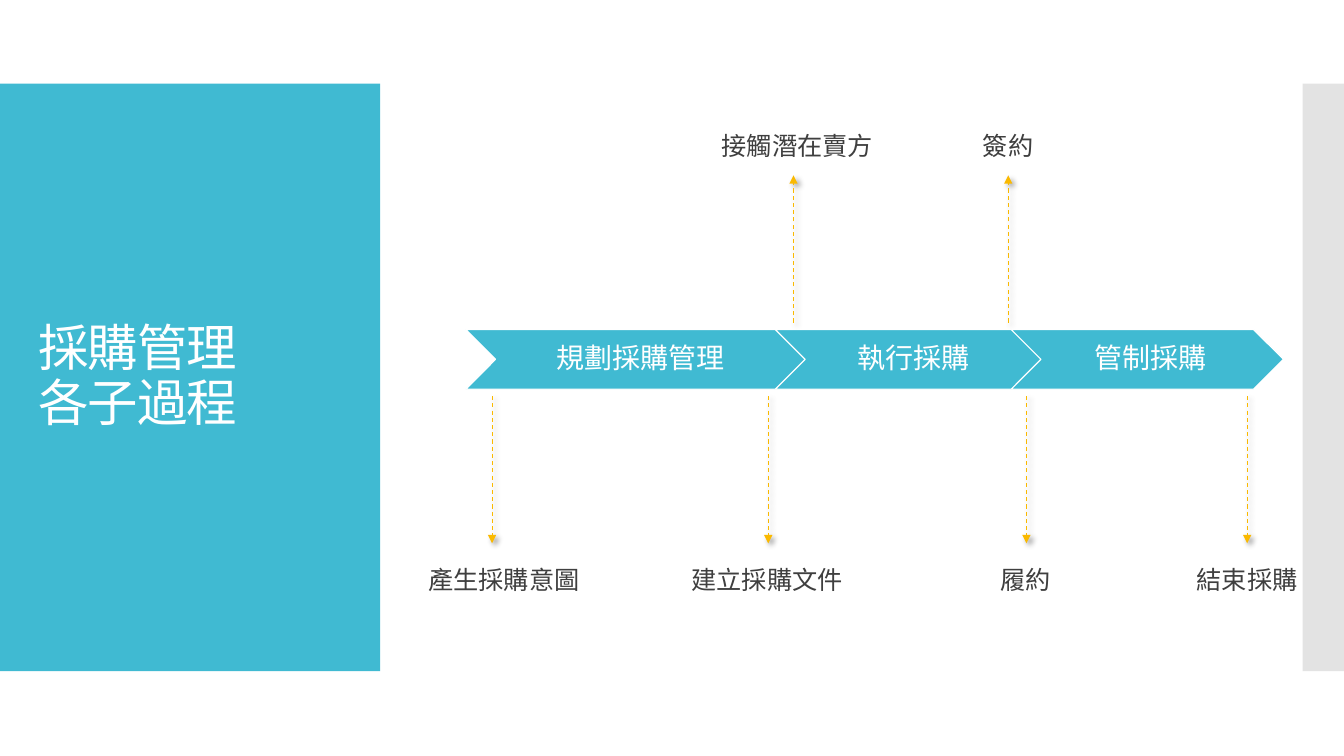
from lxml import etree
from pptx import Presentation
from pptx.dml.color import RGBColor
from pptx.enum.dml import MSO_LINE
from pptx.enum.shapes import MSO_CONNECTOR, MSO_SHAPE
from pptx.enum.text import MSO_ANCHOR, MSO_AUTO_SIZE, PP_ALIGN
from pptx.oxml import parse_xml
from pptx.oxml.ns import nsdecls, qn
from pptx.util import Inches, Pt

RECTANGLE, CHEVRON = MSO_SHAPE.RECTANGLE, MSO_SHAPE.CHEVRON
STRAIGHT, DASH = MSO_CONNECTOR.STRAIGHT, MSO_LINE.DASH
MIDDLE, TOP = MSO_ANCHOR.MIDDLE, MSO_ANCHOR.TOP
LEFT, CENTER = PP_ALIGN.LEFT, PP_ALIGN.CENTER
NO_FIT, GROW = MSO_AUTO_SIZE.NONE, MSO_AUTO_SIZE.SHAPE_TO_FIT_TEXT

FONT = "Calibri"
COLORS = {"teal": "40BAD2", "grey": "C8C8C8", "amber": "FAB900",
          "white": "FFFFFF", "text": "3F3F3F", "shadow": "000000"}
TITLE_PANEL = (0, 0.83, 3.77, 5.83)
SIDE_PANEL = (12.92, 0.83, 0.42, 5.83)
PROCESS_BAND = (4.62, 3.27, 8.11, 0.59)
STEPS = [("規劃採購管理", 3.41), ("執行採購", 2.68), ("管制採購", 2.7)]
ARROW_GAP, ARROW_LENGTH, LABEL_HEIGHT = 0.07, 1.46, 0.4
LABEL_GAPS = {"above": 0.1, "below": 0.16}
CALLOUTS = [
    ("產生採購意圖", "below", 4.88, 4.15, 1.72),
    ("建立採購文件", "below", 7.62, 6.76, 1.72),
    ("接觸潛在賣方", "above", 7.87, 7.06, 1.72),
    ("簽約", "above", 10, 9.65, 0.71),
    ("履約", "below", 10.18, 9.82, 0.71),
    ("結束採購", "below", 12.37, 11.77, 1.21),
]


def rgb(name):
    """Return a palette colour."""
    return RGBColor.from_string(COLORS[name])


def set_values(target, values):
    """Set each named attribute of the target."""
    for name, value in values.items():
        setattr(target, name, value)


def write_text(shape, text, size, color, frame, paragraph_format):
    """Write one formatted paragraph into a shape."""
    set_values(shape.text_frame, frame)
    paragraph = shape.text_frame.paragraphs[0]
    paragraph.text = text
    set_values(paragraph, paragraph_format)
    for run in paragraph.runs:
        set_values(run.font, {"name": FONT, "size": Pt(size)})
        run.font.color.rgb = rgb(color)
    return paragraph


def add_block(slide, kind, box, color):
    """Add a filled preset shape without outline or shadow."""
    shape = slide.shapes.add_shape(kind, *map(Inches, box))
    shape.shadow.inherit = False
    shape.fill.solid()
    shape.fill.fore_color.rgb = rgb(color)
    shape.line.fill.background()
    return shape


def add_title_panel(slide, box):
    """Draw the title panel and set the title inside it."""
    left, top, width, height = box
    add_block(slide, RECTANGLE, box, "teal")
    title = slide.shapes.title
    title_element = title._element
    title_element.getparent().append(title_element)
    set_values(title, {"left": Inches(left + 0.28), "top": Inches(top + 0.4),
                       "width": Inches(width - 0.55), "height": Inches(height - 0.8)})
    paragraph = write_text(
        title, "採購管理\v各子過程", 36, "white",
        {"vertical_anchor": MIDDLE, "word_wrap": True, "auto_size": NO_FIT},
        {"alignment": LEFT, "line_spacing": 0.9})
    for run in paragraph.runs:
        run.font._element.set("spc", "-60")


def add_side_panel(slide, box):
    """Draw the half-transparent panel on the right edge."""
    panel = add_block(slide, RECTANGLE, box, "grey")
    color = panel._element.spPr.find(f".//{qn('a:srgbClr')}")
    etree.SubElement(color, qn("a:alpha")).set("val", "50000")


def add_process(slide, box):
    """Draw the overlapping step chevrons along the band."""
    left, top, width, height = box
    overlap = (sum(step[1] for step in STEPS) - width) / (len(STEPS) - 1)
    for text, step_width in STEPS:
        chevron = add_block(slide, CHEVRON, (left, top, step_width, height), "teal")
        chevron.line.color.rgb = rgb("white")
        chevron.line.width = Pt(0.85)
        write_text(
            chevron, text, 20, "white",
            {"vertical_anchor": MIDDLE, "word_wrap": True, "margin_left": Inches(0.09),
             "margin_right": Inches(0.03), "margin_top": Inches(0.03),
             "margin_bottom": Inches(0.03)},
            {"alignment": CENTER, "line_spacing": 0.9, "space_after": Pt(7)})
        left += step_width - overlap


def add_arrow(slide, x, start, end):
    """Draw a dashed vertical arrow with a soft shadow."""
    arrow = slide.shapes.add_connector(STRAIGHT, *map(Inches, (x, start, x, end)))
    arrow.line.color.rgb = rgb("amber")
    set_values(arrow.line, {"width": Pt(0.75), "dash_style": DASH})
    etree.SubElement(arrow.get_or_add_ln(), qn("a:tailEnd")).set("type", "triangle")
    arrow._element.spPr.append(parse_xml(
        f'<a:effectLst {nsdecls("a")}><a:outerShdw blurRad="{Pt(4)}" dist="{Pt(3)}" '
        f'dir="2700000" rotWithShape="0"><a:srgbClr val="{COLORS["shadow"]}">'
        '<a:alpha val="40000"/></a:srgbClr></a:outerShdw></a:effectLst>'))


def add_callouts(slide, box):
    """Place the arrows and labels above and below the band."""
    top, height = box[1], box[3]
    for text, side, arrow_x, label_left, label_width in CALLOUTS:
        if side == "above":
            start = top - ARROW_GAP
            end = start - ARROW_LENGTH
            label_top = end - LABEL_GAPS[side] - LABEL_HEIGHT
        else:
            start = top + height + ARROW_GAP
            end = start + ARROW_LENGTH
            label_top = end + LABEL_GAPS[side]
        add_arrow(slide, arrow_x, start, end)
        label = slide.shapes.add_textbox(
            *map(Inches, (label_left, label_top, label_width, LABEL_HEIGHT)))
        write_text(label, text, 18, "text",
                   {"vertical_anchor": TOP, "word_wrap": False, "auto_size": GROW},
                   {"alignment": LEFT})


def main():
    """Build and save the procurement process slide."""
    presentation = Presentation()
    set_values(presentation, {"slide_width": Inches(13.33), "slide_height": Inches(7.5)})
    slide = presentation.slides.add_slide(presentation.slide_layouts[5])
    add_title_panel(slide, TITLE_PANEL)
    add_side_panel(slide, SIDE_PANEL)
    add_process(slide, PROCESS_BAND)
    add_callouts(slide, PROCESS_BAND)
    presentation.save("out.pptx")


if __name__ == "__main__":
    main()
